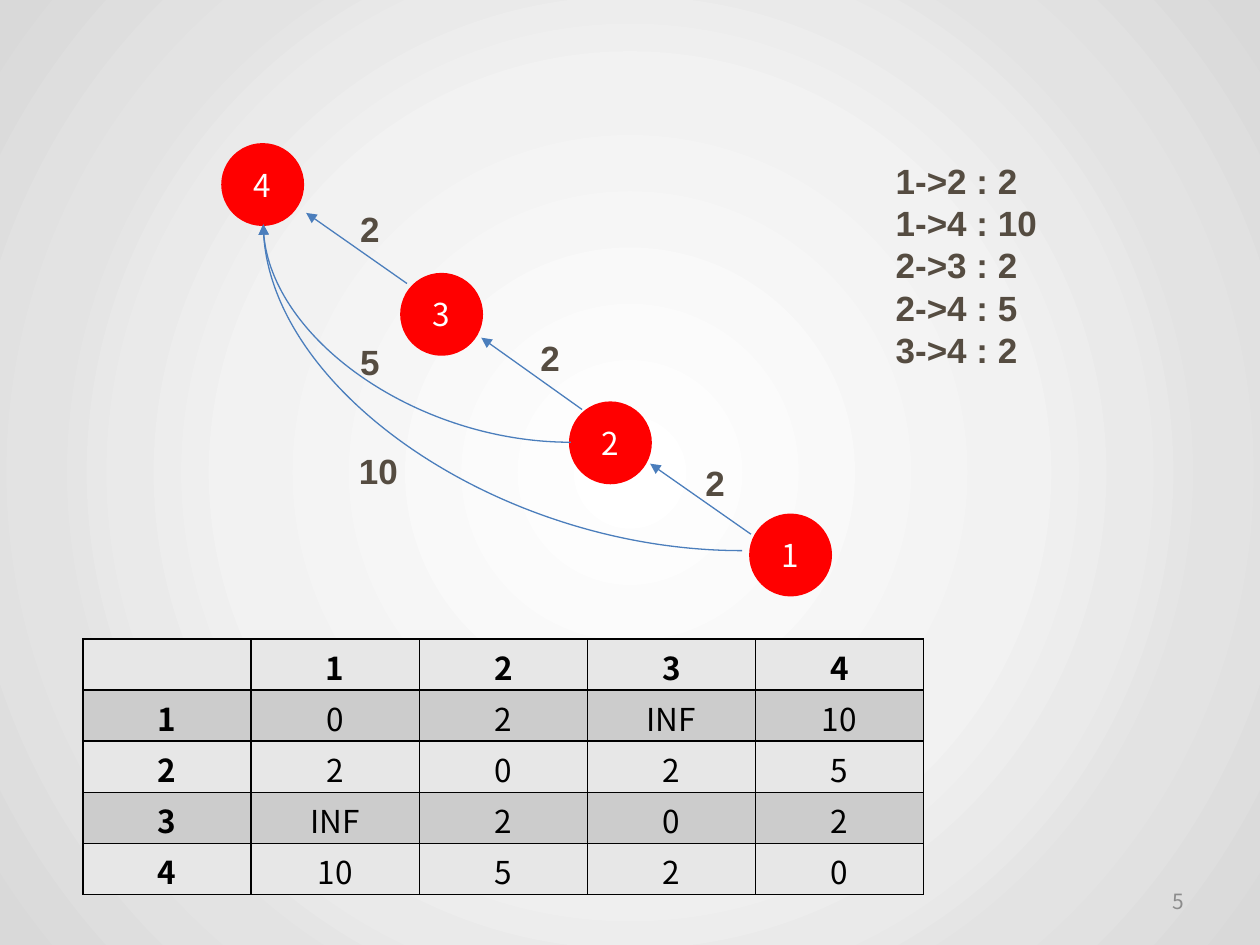
from typing import NamedTuple

from lxml.etree import SubElement
from pptx import Presentation
from pptx.dml.color import RGBColor
from pptx.enum.shapes import MSO_CONNECTOR, MSO_SHAPE
from pptx.enum.text import MSO_ANCHOR, PP_ALIGN
from pptx.oxml import parse_xml
from pptx.oxml.ns import nsdecls, qn
from pptx.util import Inches, Pt

SANS = "Noto Sans CJK KR"
RED, BLUE, BROWN, BLACK = "FF0000", "4B7EBC", "554C41", "000000"
BANDS = ("E7E7E7", "CCCCCC")
NODE_SIZE = 0.63


class Node(NamedTuple):
    text: str
    left: float
    top: float


class Edge(NamedTuple):
    x1: float
    y1: float
    x2: float
    y2: float
    curved: bool = False


class Label(NamedTuple):
    text: str
    left: float
    top: float
    width: float = 0.68
    height: float = 0.44


NODES = [Node("1", 5.96, 4.09), Node("4", 1.77, 1.15),
         Node("3", 3.19, 2.18), Node("2", 4.53, 3.2)]
EDGES = [Edge(5.96, 4.24, 5.16, 3.68), Edge(4.62, 3.25, 3.82, 2.68),
         Edge(3.23, 2.25, 2.43, 1.69),
         Edge(5.89, 4.37, 2.09, 1.78, True), Edge(4.53, 3.51, 2.09, 1.78, True)]
LABELS = [Label("10", 2.75, 3.52), Label("2", 5.5, 3.61), Label("2", 4.19, 2.62),
          Label("2", 2.76, 1.6), Label("5", 2.76, 2.65),
          Label("1->2 : 2\n1->4 : 10\n2->3 : 2\n2->4 : 5\n3->4 : 2",
                7.01, 1.22, 2.09, 1.78)]
DISTANCES = [["", "1", "2", "3", "4"],
             ["1", "0", "2", "INF", "10"],
             ["2", "2", "0", "2", "5"],
             ["3", "INF", "2", "0", "2"],
             ["4", "10", "5", "2", "0"]]
BACKGROUND = [(0, "FFFFFF"), (50, "F2F2F2"), (64, "EAEAEA"),
              (74, "E3E3E3"), (100, "D9D9D9")]


def rgb(color: str) -> RGBColor:
    return RGBColor.from_string(color)


def write(tf, text: str, size: float, color: str, font: str = SANS,
          bold: bool = False, align=PP_ALIGN.LEFT) -> None:
    tf.text = text
    for p in tf.paragraphs:
        p.alignment = align
        p.font.name, p.font.size, p.font.bold = font, Pt(size), bold
        p.font.color.rgb = rgb(color)


def set_background(s) -> None:
    """Fill the slide with a gradient that spreads from its centre."""
    stops = "".join(f'<a:gs pos="{pos * 1000}"><a:srgbClr val="{color}"/></a:gs>'
                    for pos, color in BACKGROUND)
    gradient = parse_xml(
        f'<a:gradFill {nsdecls("a")} rotWithShape="1"><a:gsLst>{stops}</a:gsLst>'
        '<a:path path="circle"><a:fillToRect l="50000" t="50000" r="50000" b="50000"/>'
        '</a:path></a:gradFill>')
    s.background.fill.solid()
    bg_pr = s.element.find(".//" + qn("p:bgPr"))
    bg_pr.replace(bg_pr[0], gradient)


def add_label(s, label: Label):
    box = s.shapes.add_textbox(*(Inches(v) for v in label[1:]))
    box.text_frame.word_wrap = True
    return box.text_frame


def add_node(s, node: Node) -> None:
    sp = s.shapes.add_shape(MSO_SHAPE.OVAL, Inches(node.left), Inches(node.top),
                            Inches(NODE_SIZE), Inches(NODE_SIZE))
    sp.shadow.inherit = False
    sp.fill.solid()
    sp.fill.fore_color.rgb = rgb(RED)
    sp.line.color.rgb = rgb(RED)
    sp.line.width = Pt(2)
    sp.text_frame.vertical_anchor = MSO_ANCHOR.MIDDLE
    write(sp.text_frame, node.text, 18, "FFFFFF", align=PP_ALIGN.CENTER)


def add_edge(s, edge: Edge) -> None:
    x1, y1, x2, y2 = (Inches(v) for v in edge[:4])
    if edge.curved:
        # A quarter curve, turned half round so that it leaves leftwards and ends upwards
        cxn = s.shapes.add_connector(MSO_CONNECTOR.CURVE, x2, y2, x1, y1)
        sp_pr = cxn.element.spPr
        sp_pr.find(qn("a:prstGeom")).set("prst", "curvedConnector2")
        sp_pr.find(qn("a:xfrm")).set("rot", str(180 * 60000))
    else:
        cxn = s.shapes.add_connector(MSO_CONNECTOR.STRAIGHT, x1, y1, x2, y2)
    cxn.line.color.rgb = rgb(BLUE)
    cxn.line.width = Pt(0.75)
    SubElement(cxn.line._get_or_add_ln(), qn("a:tailEnd"), type="triangle")
    SubElement(cxn.element.spPr, qn("a:effectLst"))


def style_cell(cell, text: str, fill: str, bold: bool) -> None:
    cell.margin_top, cell.margin_bottom = Inches(0.04), 0
    write(cell.text_frame, text, 18, BLACK, bold=bold, align=PP_ALIGN.CENTER)
    tc_pr = cell._tc.get_or_add_tcPr()
    for side in ("lnL", "lnR", "lnT", "lnB"):
        ln = SubElement(tc_pr, qn(f"a:{side}"), w=str(Pt(1)))
        SubElement(SubElement(ln, qn("a:solidFill")), qn("a:srgbClr"), val=BLACK)
    cell.fill.solid()
    cell.fill.fore_color.rgb = rgb(fill)


def add_distance_table(s) -> None:
    count = len(DISTANCES)
    table = s.shapes.add_table(count, count, Inches(0.66), Inches(5.07),
                               Inches(6.67), Inches(2.03)).table
    for i, row in enumerate(DISTANCES):
        for j, text in enumerate(row):
            style_cell(table.cell(i, j), text, BANDS[i % 2], bold=i == 0 or j == 0)


def main() -> None:
    prs = Presentation()
    prs.slide_width, prs.slide_height = Inches(10), Inches(7.5)
    s = prs.slides.add_slide(prs.slide_layouts[6])
    set_background(s)

    number = Label("5", 7.17, 6.95, 2.33, 0.4)
    tf = add_label(s, number)
    tf.vertical_anchor = MSO_ANCHOR.MIDDLE
    write(tf, number.text, 12, "8C8C8C", align=PP_ALIGN.RIGHT)

    for node in NODES:
        add_node(s, node)
    for edge in EDGES:
        add_edge(s, edge)
    for label in LABELS:
        write(add_label(s, label), label.text, 20, BROWN, "Arial", bold=True)
    add_distance_table(s)
    prs.save("out.pptx")


if __name__ == "__main__":
    main()
